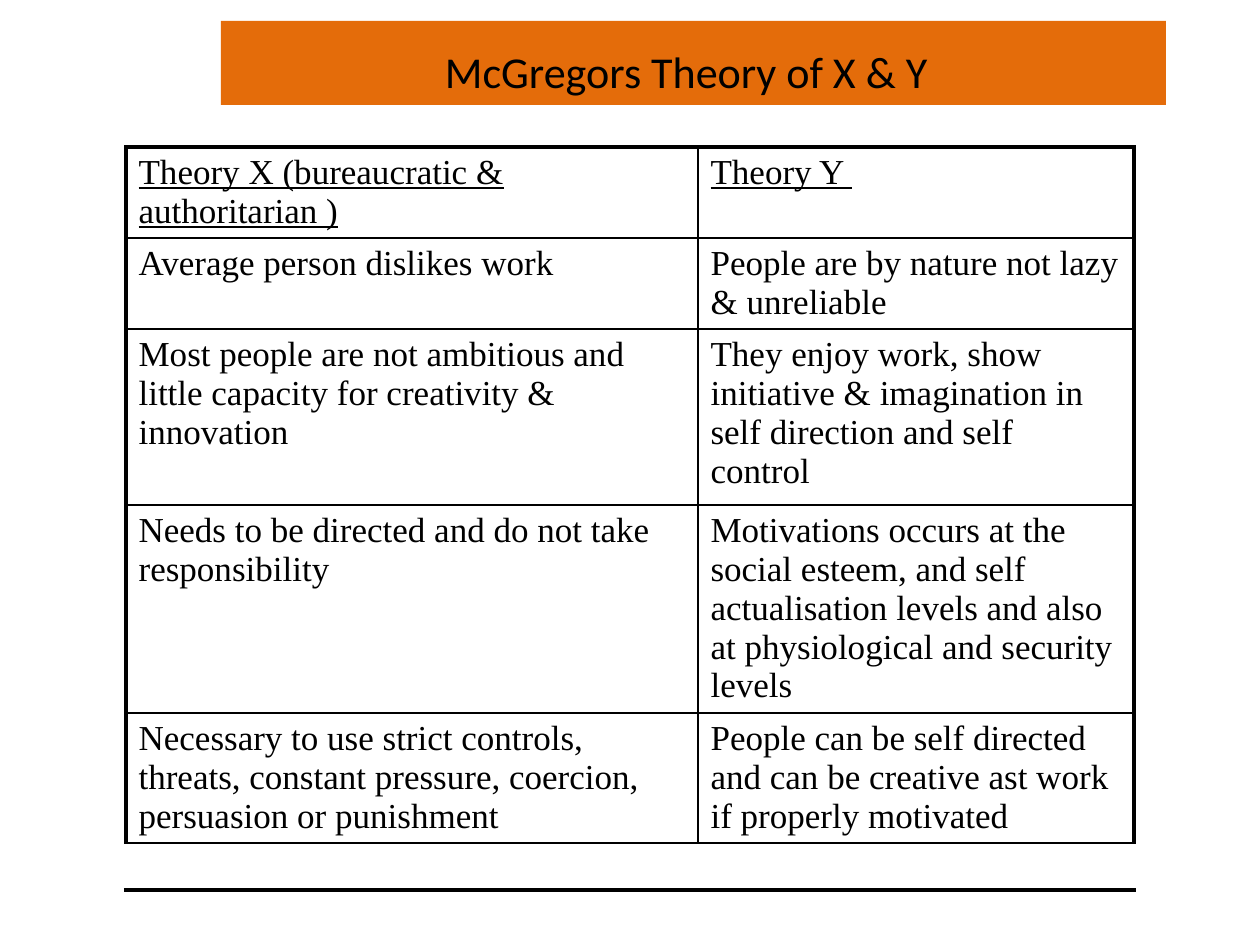
from dataclasses import dataclass

from lxml import etree
from pptx import Presentation
from pptx import util as u
from pptx.dml.color import RGBColor
from pptx.enum import text
from pptx.enum.shapes import MSO_CONNECTOR
from pptx.oxml.ns import qn


@dataclass(frozen=True)
class Theme:
    banner: str = "E46C0A"
    ink: str = "000000"
    title_font: str = "Calibri"
    table_font: str = "Times New Roman"
    title_size: float = 25.2
    title_end_size: float = 36
    table_size: float = 20
    thick: float = 2.25
    thin: float = 1


THEME = Theme()
EMU_PER_PX = 914400 / 126
COLUMN_WIDTHS = [572, 436]
ROW_HEIGHTS = [91, 91, 176, 208, 130]
THEORIES = [
    ("Theory X (bureaucratic & authoritarian )", "Theory Y "),
    ("Average person dislikes work",
     "People are by nature not lazy & unreliable"),
    ("Most people are not ambitious and little capacity for creativity & innovation",
     "They enjoy work, show initiative & imagination in self direction and self control"),
    ("Needs to be directed and do not take responsibility",
     "Motivations occurs at the social esteem, and self actualisation levels "
     "and also at physiological and security levels"),
    ("Necessary to use strict controls, threats, constant pressure, coercion, "
     "persuasion or punishment",
     "People can be self directed and can be creative ast work if properly motivated"),
]


def px(length):
    return u.Emu(round(length * EMU_PER_PX))


def set_font(font, name, size):
    font.name = name
    font.size = u.Pt(size)
    font.color.rgb = RGBColor.from_string(THEME.ink)


def add_title(page, left, top, width, height):
    box = page.shapes.title
    box.left, box.top, box.width, box.height = map(px, (left, top, width, height))
    box.fill.solid()
    box.fill.fore_color.rgb = RGBColor.from_string(THEME.banner)
    frame = box.text_frame
    frame.auto_size = text.MSO_AUTO_SIZE.NONE
    frame.vertical_anchor = text.MSO_ANCHOR.MIDDLE
    para = frame.paragraphs[0]
    para.alignment = text.PP_ALIGN.CENTER
    for words, size in (("McGregors Theory of X & Y", THEME.title_size),
                        (" ", THEME.title_end_size)):
        span = para.add_run()
        span.text = words
        set_font(span.font, THEME.title_font, size)


def set_borders(cell, widths):
    """Draw the left, right, top and bottom borders, with widths in points."""
    properties = cell._tc.get_or_add_tcPr()
    for index, (side, width) in enumerate(zip("LRTB", widths)):
        line = etree.Element(qn(f"a:ln{side}"), w=str(u.Pt(width)))
        fill = etree.SubElement(line, qn("a:solidFill"))
        etree.SubElement(fill, qn("a:srgbClr"), val=THEME.ink)
        properties.insert(index, line)


def fill_cell(cell, words, heading):
    cell.text = words
    cell.fill.background()
    font = cell.text_frame.paragraphs[0].font
    set_font(font, THEME.table_font, THEME.table_size)
    font.underline = heading


def add_theory_table(page, left, top):
    table = page.shapes.add_table(
        len(ROW_HEIGHTS), len(COLUMN_WIDTHS), px(left), px(top),
        px(sum(COLUMN_WIDTHS)), px(sum(ROW_HEIGHTS))).table
    table.first_row = table.horz_banding = False
    for column, width in zip(table.columns, COLUMN_WIDTHS):
        column.width = px(width)
    last = len(COLUMN_WIDTHS) - 1
    for r, (height, entries) in enumerate(zip(ROW_HEIGHTS, THEORIES)):
        table.rows[r].height = px(height)
        for c, words in enumerate(entries):
            cell = table.cell(r, c)
            fill_cell(cell, words, heading=r == 0)
            outer = (c == 0, c == last, r == 0, False)
            set_borders(cell, [THEME.thick if edge else THEME.thin for edge in outer])


def add_rule(page, left, right, y):
    rule = page.shapes.add_connector(
        MSO_CONNECTOR.STRAIGHT, px(left), px(y), px(right), px(y))
    rule.line.color.rgb = RGBColor.from_string(THEME.ink)
    rule.line.width = u.Pt(THEME.thick)
    etree.SubElement(rule._element.spPr, qn("a:effectLst"))


def main():
    deck = Presentation()
    deck.slide_width, deck.slide_height = px(1260), px(945)
    page = deck.slides.add_slide(deck.slide_layouts[5])
    add_title(page, 221, 21, 945, 84)
    add_theory_table(page, 126, 147)
    add_rule(page, 124, 1136, 890)
    deck.save("out.pptx")


if __name__ == "__main__":
    main()
